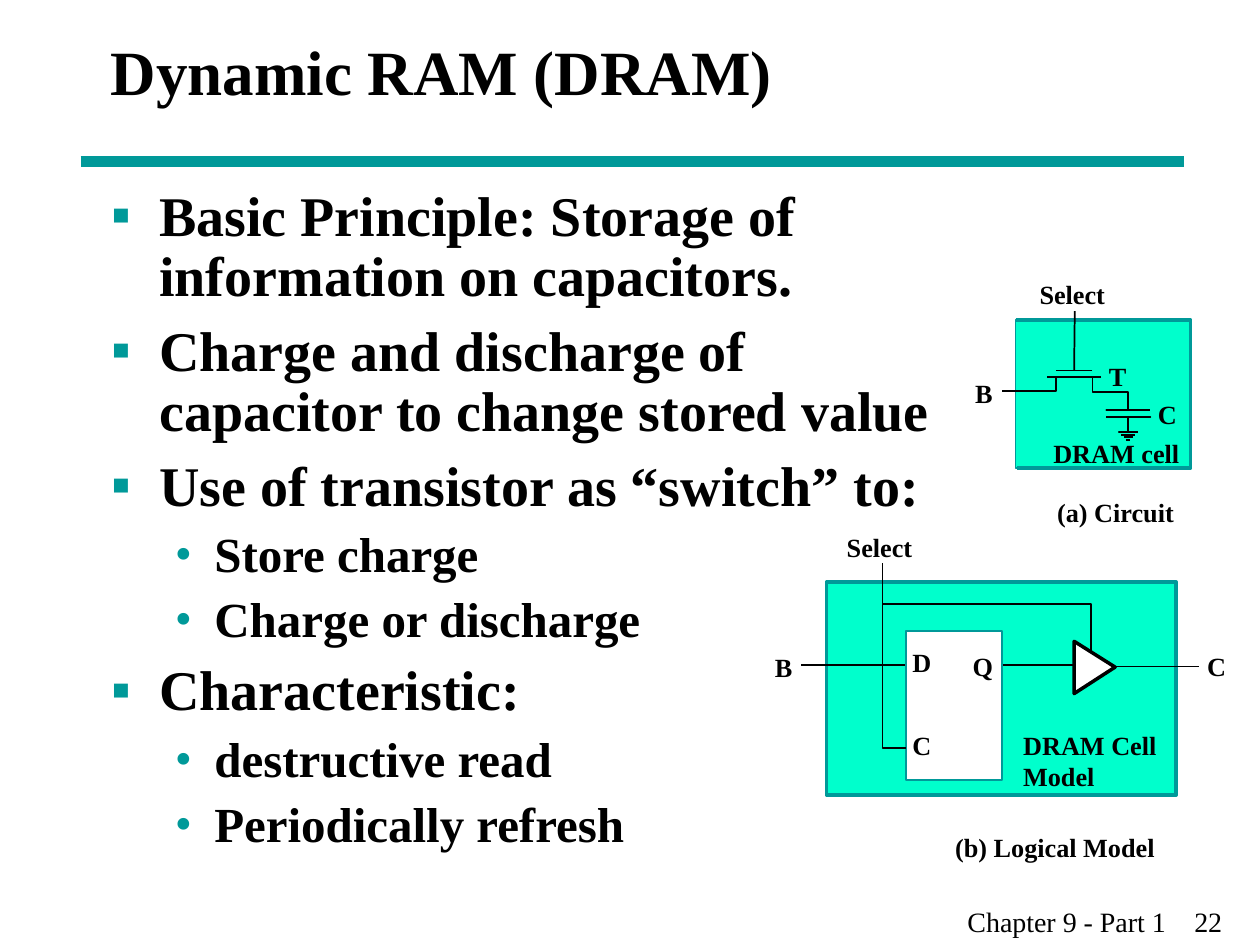
from dataclasses import dataclass

from lxml import etree
from pptx import Presentation
from pptx import util as u
from pptx.dml.color import RGBColor
from pptx.enum import shapes, text
from pptx.oxml.ns import qn

# The slide is a grid of 100 columns by 75 rows; all lengths are in its cells.
CELL = u.Inches(0.1)
COLUMNS, ROWS = 100, 75
LABEL_SLACK = 0.3  # spare width that keeps each label on one line
FONT = "Times New Roman"
BLACK, WHITE, TEAL, MINT = "000000", "FFFFFF", "009999", "00FFCC"
Point = tuple[float, float]


@dataclass
class Label:
    wording: str
    left: float
    top: float
    width: float


@dataclass
class Wire:
    points: list[Point]
    color: str = BLACK
    weight: float = 1
    fill: str | None = None


@dataclass
class Level:
    bullet: str
    size: int
    margin: float
    hanging: float
    before: int


@dataclass
class Block:
    left: float
    top: float
    width: float
    height: float
    fill: str
    weight: float


LEVELS = [Level("▪", 32, 3.75, 3.75, 8), Level("•", 28, 8.13, 3.13, 7)]
OUTLINE = [
    (0, "Basic Principle: Storage of information on capacitors."),
    (0, "Charge and discharge of capacitor to change stored value"),
    (0, "Use of transistor as “switch” to:"),
    (1, "Store charge"),
    (1, "Charge or discharge"),
    (0, "Characteristic:"),
    (1, "destructive read"),
    (1, "Periodically refresh"),
]

CIRCUIT = [
    Block(80.6, 25.4, 13.9, 11.75, MINT, 0.75),
    Wire([(80.6, 25.4), (94.5, 25.4), (94.5, 37.15), (80.7, 37.15)], TEAL, 2),
    Label("Select", 82.5, 22.1, 5.2),
    Wire([(85.25, 29.4), (85.3, 24.7)]),
    Label("B", 77.4, 29.9, 1.4),
    Wire([(87.4, 29.9), (83.1, 29.9)]),
    Wire([(86.7, 29.4), (83.8, 29.4)]),
    Wire([(83.8, 29.9), (83.8, 31.05), (79.5, 31.05)]),
    Wire([(86.7, 29.9), (86.7, 31.1), (89.55, 31.1), (89.55, 32.55),
          (87.8, 32.55), (91.3, 32.55)]),
    Wire([(87.8, 33.1), (91.3, 33.1), (89.55, 33.1), (89.55, 34.3),
          (88.8, 34.3), (90.3, 34.3)]),
    *[Wire([(89.55 - half, y), (89.55 + half, y)])
      for half, y in ((0.55, 34.5), (0.35, 34.7), (0.15, 34.9))],
    Label("T", 88, 28.6, 1.4),
    Label("C", 91.9, 31.6, 1.5),
    Label("DRAM cell", 83.6, 34.7, 10),
]
CAPTIONS = [
    Label("(a) Circuit", 83.9, 39.4, 9.3),
    Label("(b) Logical Model", 75.8, 66, 15.9),
]
LOGICAL_MODEL = [
    Block(65.6, 46.2, 27.75, 16.9, MINT, 2),
    Wire([(88.5, 52.9), (95.2, 52.9)]),
    Label("Select", 67.2, 42.2, 5.2),
    Wire([(63.6, 52.8), (71.9, 52.8)]),
    Block(71.9, 50.1, 7.65, 11.8, WHITE, 1),
    Wire([(79.6, 52.8), (85.2, 52.8)]),
    Label("D", 72.4, 51.3, 1.5),
    Label("C", 72.4, 57.9, 1.5),
    Label("Q", 77.2, 51.6, 1.6),
    Wire([(71.9, 59.35), (70.05, 59.35), (70.05, 44.7)]),
    Label("B", 61.5, 51.7, 1.4),
    Label("DRAM Cell", 81.2, 57.9, 10.6),
    Label("Model", 81.2, 60.3, 5.7),
    Label("C", 95.8, 51.6, 1.5),
    Wire([(70.1, 47.95), (86.6, 47.95), (86.6, 51.8)]),
    Wire([(85.25, 50.9), (85.25, 55.05), (88.5, 52.95)], BLACK, 2, WHITE),
]


def cells(count: float) -> int:
    return round(count * CELL)


def paint(target, color: str) -> None:
    target.solid()
    target.fore_color.rgb = RGBColor.from_string(color)


def set_format(target, values: dict) -> None:
    for name, value in values.items():
        setattr(target, name, value)


def add_text_frame(canvas, left, top, width, height, **values):
    frame = canvas.add_textbox(*map(cells, (left, top, width, height))).text_frame
    set_format(frame, {"word_wrap": True, **values})
    return frame


def write(paragraph, wording: str, size: float, bold: bool = True) -> None:
    run = paragraph.add_run()
    run.text = wording
    set_format(run.font, {"name": FONT, "size": u.Pt(size), "bold": bold})
    paint(run.font.fill, BLACK)


def draw_label(canvas, label: Label) -> None:
    margins = {f"margin_{side}": 0 for side in ("left", "top", "right", "bottom")}
    frame = add_text_frame(canvas, label.left, label.top,
                           label.width + LABEL_SLACK, 2.5,
                           **margins, word_wrap=False,
                           auto_size=text.MSO_AUTO_SIZE.NONE)
    write(frame.paragraphs[0], label.wording, 15)
    frame.paragraphs[0].alignment = text.PP_ALIGN.LEFT


def draw_block(canvas, block: Block) -> None:
    box = canvas.add_shape(
        shapes.MSO_SHAPE.RECTANGLE,
        *map(cells, (block.left, block.top, block.width, block.height)))
    box.shadow.inherit = False
    paint(box.fill, block.fill)
    paint(box.line.fill, TEAL)
    box.line.width = u.Pt(block.weight)


def draw_wire(canvas, wire: Wire) -> None:
    """Draw two points as a connector, more as a bent or filled outline."""
    start, *rest = [(cells(x), cells(y)) for x, y in wire.points]
    if len(rest) == 1:
        path = canvas.add_connector(shapes.MSO_CONNECTOR.STRAIGHT, *start, *rest[0])
        etree.SubElement(path._element.spPr, qn("a:effectLst"))
    else:
        builder = canvas.build_freeform(*start)
        builder.add_line_segments(rest, close=wire.fill is not None)
        path = builder.convert_to_shape()
        path.shadow.inherit = False
        if wire.fill:
            paint(path.fill, wire.fill)
        else:
            path.fill.background()
    paint(path.line.fill, wire.color)
    path.line.width = u.Pt(wire.weight)


DRAW = {Label: draw_label, Block: draw_block, Wire: draw_wire}


def draw_all(canvas, parts: list) -> None:
    for part in parts:
        DRAW[type(part)](canvas, part)


def draw_outline(canvas) -> None:
    frame = add_text_frame(canvas, 7.9, 14.4, 67.8, 55)
    for index, (depth, wording) in enumerate(OUTLINE):
        paragraph = frame.add_paragraph() if index else frame.paragraphs[0]
        level = LEVELS[depth]
        set_format(paragraph, {"level": depth, "line_spacing": 0.9,
                               "space_before": u.Pt(level.before)})
        props = paragraph._p.get_or_add_pPr()
        props.set("marL", str(cells(level.margin)))
        props.set("indent", str(-cells(level.hanging)))
        color = etree.SubElement(props, qn("a:buClr"))
        etree.SubElement(color, qn("a:srgbClr"), val=TEAL)
        etree.SubElement(props, qn("a:buFont"), typeface=FONT)
        etree.SubElement(props, qn("a:buChar"), char=level.bullet)
        write(paragraph, wording, level.size)


def draw_footer(canvas) -> None:
    footer = add_text_frame(canvas, 75.8, 71.3, 24.2, 3.7).paragraphs[0]
    tabs = etree.SubElement(footer._p.get_or_add_pPr(), qn("a:tabLst"))
    etree.SubElement(tabs, qn("a:tab"), pos=str(cells(18)), algn="l")
    write(footer, "Chapter 9 - Part 1\t22", 16, bold=False)


def main() -> None:
    deck = Presentation()
    set_format(deck, {"slide_width": cells(COLUMNS), "slide_height": cells(ROWS)})
    canvas = deck.slides.add_slide(deck.slide_layouts[6]).shapes
    draw_wire(canvas, Wire([(6.4, 12.8), (94, 12.8)], TEAL, 6))
    draw_footer(canvas)
    title = add_text_frame(canvas, 7.8, 0, 85, 11.2,
                           vertical_anchor=text.MSO_ANCHOR.MIDDLE)
    write(title.paragraphs[0], "Dynamic RAM (DRAM)", 36)
    draw_outline(canvas)
    draw_all(canvas.add_group_shape().shapes, CIRCUIT)
    draw_all(canvas, CAPTIONS)
    draw_all(canvas.add_group_shape().shapes, LOGICAL_MODEL)
    deck.save("out.pptx")


if __name__ == "__main__":
    main()
